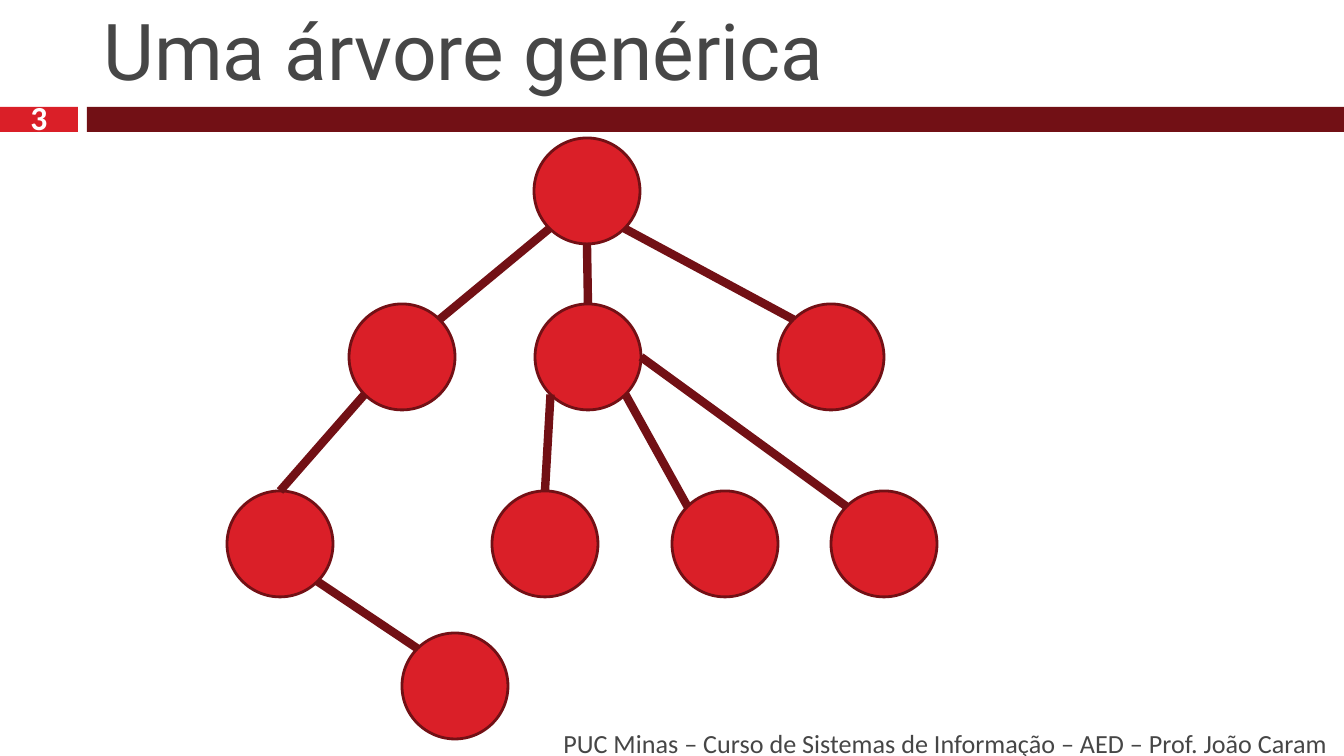
"""Build a slide that shows a generic tree of circles."""
from math import cos, radians, sin

from pptx import Presentation
from pptx import util as u
from pptx.dml.color import RGBColor
from pptx.enum import shapes, text
from pptx.oxml.ns import qn

RED = RGBColor(0xDA, 0x1F, 0x28)
WINE = RGBColor(0x72, 0x10, 0x15)
GRAY = RGBColor(0x46, 0x46, 0x46)
WHITE = RGBColor(0xFF, 0xFF, 0xFF)

TITLE = "Uma árvore genérica"
FOOT = "PUC Minas – Curso de Sistemas de Informação – AED – Prof. João Caram"
PAGE = "3"

BARS = [((0, 107, 78, 25), RED), ((87, 107, 1257, 25), WINE)]
RADIUS = 53
ROWS = [191, 357, 544, 686]
NODES = {
    "root": (587, 0),
    "left": (402, 1), "mid": (588, 1), "right": (831, 1),
    "left_a": (280, 2), "mid_a": (545, 2), "mid_b": (725, 2), "mid_c": (884, 2),
    "leaf": (455, 3),
}
TOP, TOP_L, LOW_L, LOW, LOW_R, RIGHT, TOP_R = 0, 1, 3, 4, 5, 6, 7
EDGES = [
    ("root", LOW_L, "left", TOP_R),
    ("root", LOW, "mid", TOP),
    ("root", LOW_R, "right", TOP_L),
    ("left", LOW_L, "left_a", TOP),
    ("left_a", LOW_R, "leaf", TOP_L),
    ("mid", LOW_L, "mid_a", TOP),
    ("mid", LOW_R, "mid_b", TOP_L),
    ("mid", RIGHT, "mid_c", TOP_L),
]


def px(n):
    return u.Emu(round(n * 914400 / 134.4))


def center(name):
    x, row = NODES[name]
    return x, ROWS[row]


def site(name, step):
    x, y = center(name)
    turn = radians(45 * step)
    return px(x - RADIUS * sin(turn)), px(y - RADIUS * cos(turn))


def draw(kind, box, fill):
    shape = slide.shapes.add_shape(kind, *map(px, box))
    shape.shadow.inherit = False
    shape.fill.solid()
    shape.fill.fore_color.rgb = fill
    shape.line.fill.background()
    return shape


def write(shape, words, font, size, color, align, anchor, bold=False):
    frame = shape.text_frame
    frame.word_wrap = True
    frame.auto_size = text.MSO_AUTO_SIZE.NONE
    frame.vertical_anchor = anchor
    par = frame.paragraphs[0]
    par.alignment = align
    run = par.add_run()
    run.text = words
    run.font.name, run.font.size, run.font.bold = font, u.Pt(size), bold
    run.font.color.rgb = color


def label(box, words, size, color, align, bold=False):
    shape = slide.shapes.add_textbox(*map(px, box))
    frame = shape.text_frame
    frame.margin_top = frame.margin_bottom = 0
    write(shape, words, "Calibri", size, color, align, text.MSO_ANCHOR.MIDDLE, bold)


deck = Presentation()
deck.slide_width, deck.slide_height = px(1344), px(756)
slide = deck.slides.add_slide(deck.slide_layouts[5])

for box, fill in BARS:
    draw(shapes.MSO_SHAPE.RECTANGLE, box, fill)

title = slide.shapes.title
title.left, title.top, title.width, title.height = map(px, (90, 17, 1239, 86))
write(title, TITLE, "Roboto", 42, GRAY, text.PP_ALIGN.LEFT, text.MSO_ANCHOR.BOTTOM)
label((142, 723, 1199, 40), FOOT, 14, GRAY, text.PP_ALIGN.RIGHT)
label((0, 104, 78, 27), PAGE, 18, WHITE, text.PP_ALIGN.CENTER, True)

balls = {}
for name in NODES:
    x, y = center(name)
    box = (x - RADIUS, y - RADIUS, 2 * RADIUS, 2 * RADIUS)
    ball = draw(shapes.MSO_SHAPE.OVAL, box, RED)
    ball.line.color.rgb = WINE
    ball.line.width = u.Pt(1.5)
    balls[name] = ball

for head, out, tail, into in EDGES:
    ends = *site(head, out), *site(tail, into)
    edge = slide.shapes.add_connector(shapes.MSO_CONNECTOR.STRAIGHT, *ends)
    edge.line.color.rgb = WINE
    edge.line.width = u.Pt(4.5)
    props = edge._element.spPr
    props.append(props.makeelement(qn("a:effectLst"), {}))
    if into == TOP:
        edge.end_connect(balls[tail], TOP)

deck.save("out.pptx")
